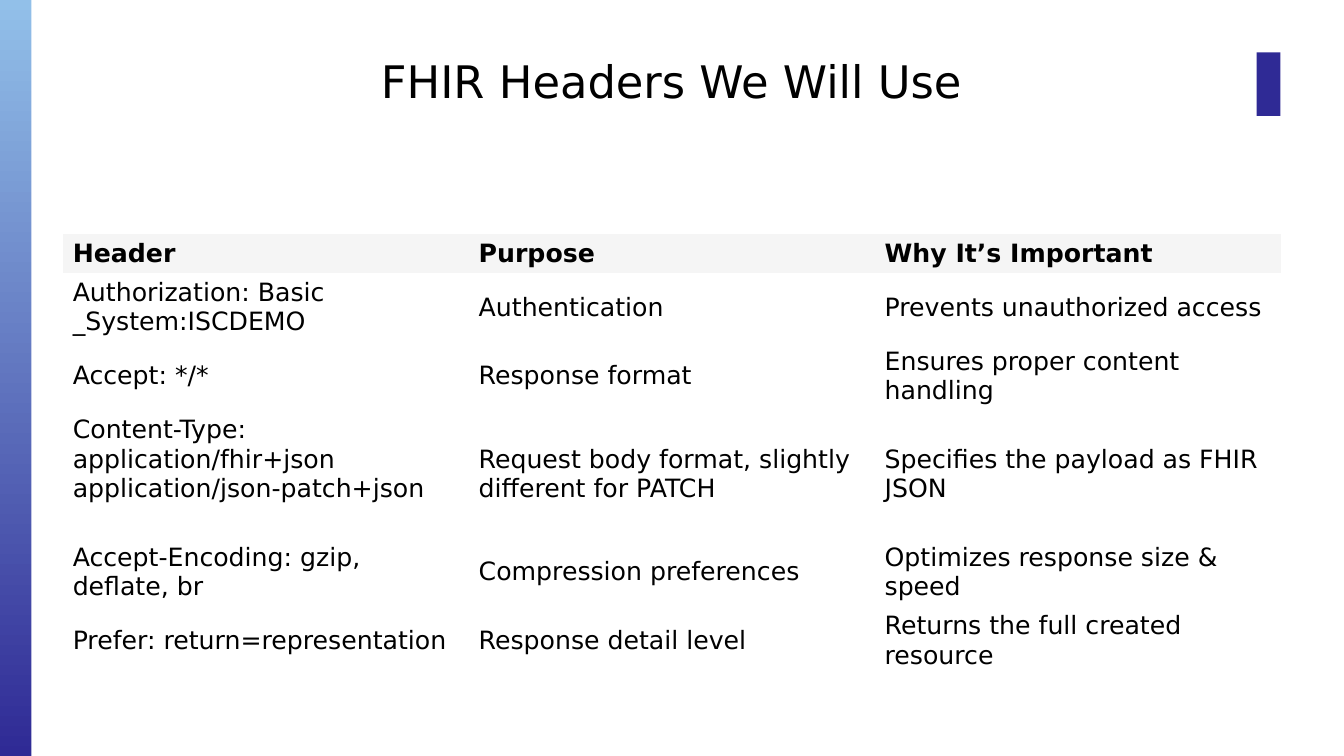
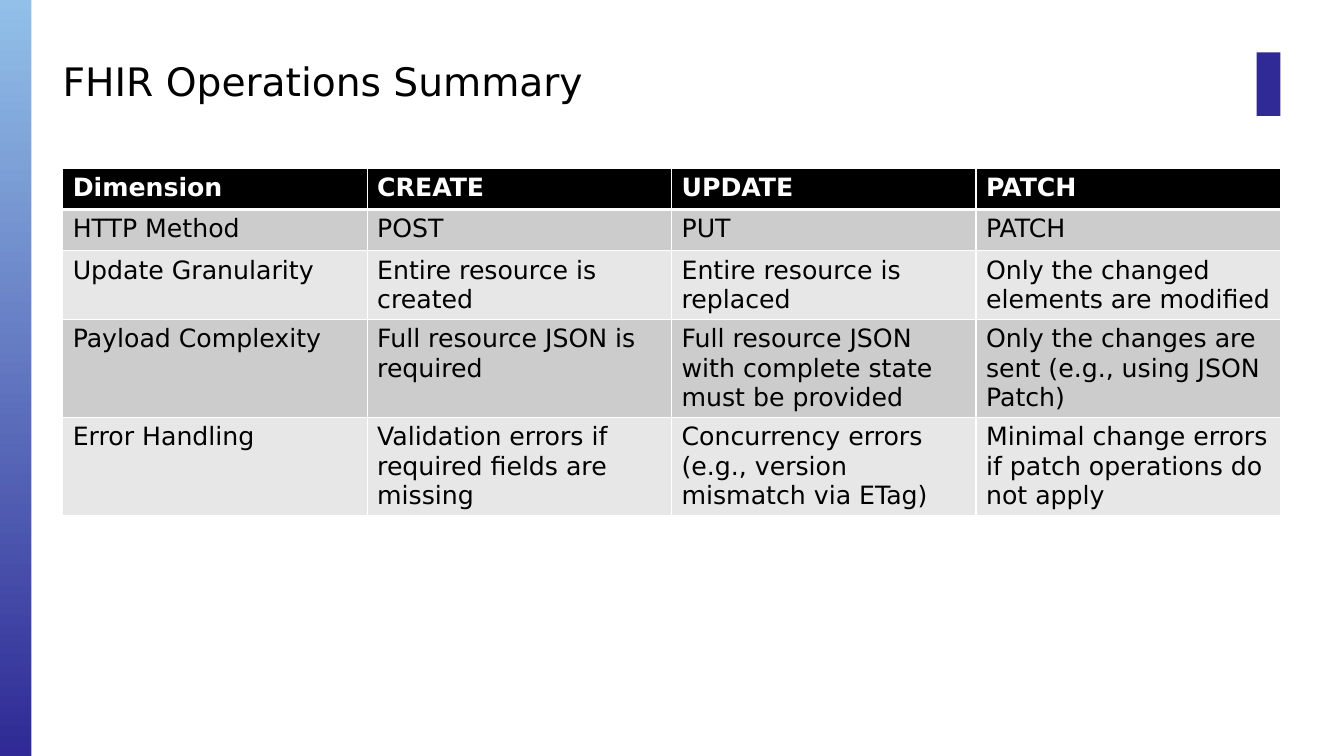
from dataclasses import dataclass

from lxml.etree import SubElement
from pptx import Presentation
from pptx.dml.color import RGBColor
from pptx.enum.shapes import MSO_SHAPE as SHAPE
from pptx.enum.text import MSO_ANCHOR as ANCHOR, MSO_AUTO_SIZE as AUTO_SIZE, PP_ALIGN as ALIGN
from pptx.oxml.ns import qn
from pptx.util import Cm, Pt


@dataclass(frozen=True)
class Theme:
    font: str = "DejaVu Sans"
    sky: str = "92C0E9"
    indigo: str = "2F2A95"
    white: str = "FFFFFF"
    black: str = "000000"
    pale: str = "F5F5F5"
    bands: tuple = ("CCCCCC", "E7E7E7")
    table_size: int = 18


T = Theme()
SLIDE_W, SLIDE_H = 33.87, 19.05
STRIP_W = 0.79
LEFT, CONTENT_W = 1.58, 30.69
NO_STYLE = "{2D5ABB26-0587-4C30-8999-92F81FD0307C}"

SLIDES = [
    {
        "title": "FHIR Headers We Will Use",
        "title_size": 32,
        "align": ALIGN.CENTER,
        "top": 5.89,
        "heights": [0.99, 1.73, 1.73, 3.21, 1.73, 1.73],
        "anchor": ANCHOR.MIDDLE,
        "top_cells": [(3, 0)],
        "header": (T.pale, T.black),
        "bands": None,
        "rows": [
            ("Header", "Purpose", "Why It’s Important"),
            ("Authorization: Basic _System:ISCDEMO", "Authentication",
             "Prevents unauthorized access"),
            ("Accept: */*", "Response format", "Ensures proper content handling"),
            ("Content-Type: application/fhir+json\napplication/json-patch+json",
             "Request body format, slightly different for PATCH",
             "Specifies the payload as FHIR JSON"),
            ("Accept-Encoding: gzip, deflate, br", "Compression preferences",
             "Optimizes response size & speed"),
            ("Prefer: return=representation", "Response detail level",
             "Returns the full created resource"),
        ],
    },
    {
        "title": "FHIR Operations Summary",
        "title_size": 28,
        "align": ALIGN.LEFT,
        "top": 4.24,
        "heights": [1.04, 1.04, 1.73, 2.47, 2.47],
        "anchor": ANCHOR.TOP,
        "top_cells": [],
        "header": (T.black, T.white),
        "bands": T.bands,
        "rows": [
            ("Dimension", "CREATE", "UPDATE", "PATCH"),
            ("HTTP Method", "POST", "PUT", "PATCH"),
            ("Update Granularity", "Entire resource is created",
             "Entire resource is replaced", "Only the changed elements are modified"),
            ("Payload Complexity", "Full resource JSON is required",
             "Full resource JSON with complete state must be provided",
             "Only the changes are sent (e.g., using JSON Patch)"),
            ("Error Handling", "Validation errors if required fields are missing",
             "Concurrency errors (e.g., version mismatch via ETag)",
             "Minimal change errors if patch operations do not apply"),
        ],
    },
]


def set_all(obj, values):
    for name, value in values.items():
        setattr(obj, name, value)


def rgb(color):
    return RGBColor.from_string(color)


def style_font(font, size, color, bold=False):
    set_all(font, {"name": T.font, "size": Pt(size), "bold": bold})
    font.color.rgb = rgb(color)


def add_block(slide, left, top, width, height, color):
    sp = slide.shapes.add_shape(SHAPE.RECTANGLE, Cm(left), Cm(top), Cm(width), Cm(height))
    sp.shadow.inherit = False
    sp.fill.solid()
    sp.fill.fore_color.rgb = rgb(color)
    sp.line.fill.background()
    return sp


def prepare_layout(layout):
    """Give the layout its gradient and its title box."""
    fill = layout.background.fill
    fill.gradient()
    fill.gradient_angle = 270
    for stop, color, position in zip(fill.gradient_stops, (T.sky, T.indigo), (0, 1)):
        stop.color.rgb = rgb(color)
        stop.position = position
    title, *footers = layout.placeholders
    for sp in footers:
        sp.element.getparent().remove(sp.element)
    set_all(title, {"left": Cm(LEFT), "top": Cm(1.06),
                    "width": Cm(CONTENT_W), "height": Cm(2.12)})
    set_all(title.text_frame, {
        "margin_left": 0, "margin_right": 0, "margin_top": 0, "margin_bottom": 0,
        "vertical_anchor": ANCHOR.MIDDLE, "auto_size": AUTO_SIZE.NONE,
    })


def move_blocks_to_layout(slide):
    """Draw the white panel and corner mark, then keep them in the layout."""
    blocks = [
        add_block(slide, STRIP_W, 0, SLIDE_W - STRIP_W, SLIDE_H, T.white),
        add_block(slide, 31.67, 1.32, 0.6, 1.6, T.indigo),
    ]
    for position, sp in enumerate(blocks, start=2):
        slide.slide_layout.shapes.element.insert(position, sp.element)


def add_borders(cell, top, bottom):
    tc_pr = cell._tc.get_or_add_tcPr()
    for side, width in (("L", 1), ("R", 1), ("T", top), ("B", bottom)):
        ln = SubElement(tc_pr, qn(f"a:ln{side}"), w=str(Pt(width)))
        SubElement(SubElement(ln, qn("a:solidFill")), qn("a:srgbClr"), val=T.white)


def add_title(slide, data):
    title = slide.shapes.title
    title.text_frame.text = data["title"]
    p = title.text_frame.paragraphs[0]
    set_all(p, {"alignment": data["align"], "line_spacing": 0.9})
    style_font(p.runs[0].font, data["title_size"], T.black)


def fill_cell(cell, text, row, col, data):
    is_header = row == 0
    bands = data["bands"]
    header_fill, header_text = data["header"]
    if bands:
        add_borders(cell, top=3 if row == 1 else 1, bottom=3 if is_header else 1)
    if is_header or bands:
        cell.fill.solid()
        cell.fill.fore_color.rgb = rgb(header_fill if is_header else bands[(row - 1) % 2])
    else:
        cell.fill.background()
    cell.text = text
    cell.vertical_anchor = ANCHOR.TOP if (row, col) in data["top_cells"] else data["anchor"]
    for p in cell.text_frame.paragraphs:
        for r in p.runs:
            style_font(r.font, T.table_size, header_text if is_header else T.black, is_header)


def add_grid(slide, data):
    rows, heights = data["rows"], data["heights"]
    frame = slide.shapes.add_table(len(rows), len(rows[0]), Cm(LEFT), Cm(data["top"]),
                                   Cm(CONTENT_W), Cm(sum(heights)))
    for style_id in frame.element.iter(qn("a:tableStyleId")):
        style_id.text = NO_STYLE
    table = frame.table
    table.horz_banding = False
    for table_row, height in zip(table.rows, heights):
        table_row.height = Cm(height)
    for row, texts in enumerate(rows):
        for col, text in enumerate(texts):
            fill_cell(table.cell(row, col), text, row, col, data)


def main():
    prs = Presentation()
    set_all(prs, {"slide_width": Cm(SLIDE_W), "slide_height": Cm(SLIDE_H)})
    layout = prs.slide_layouts.get_by_name("Title Only")
    prepare_layout(layout)
    for i, data in enumerate(SLIDES):
        slide = prs.slides.add_slide(layout)
        if i == 0:
            move_blocks_to_layout(slide)
        add_title(slide, data)
        add_grid(slide, data)
    prs.save("out.pptx")


if __name__ == "__main__":
    main()
